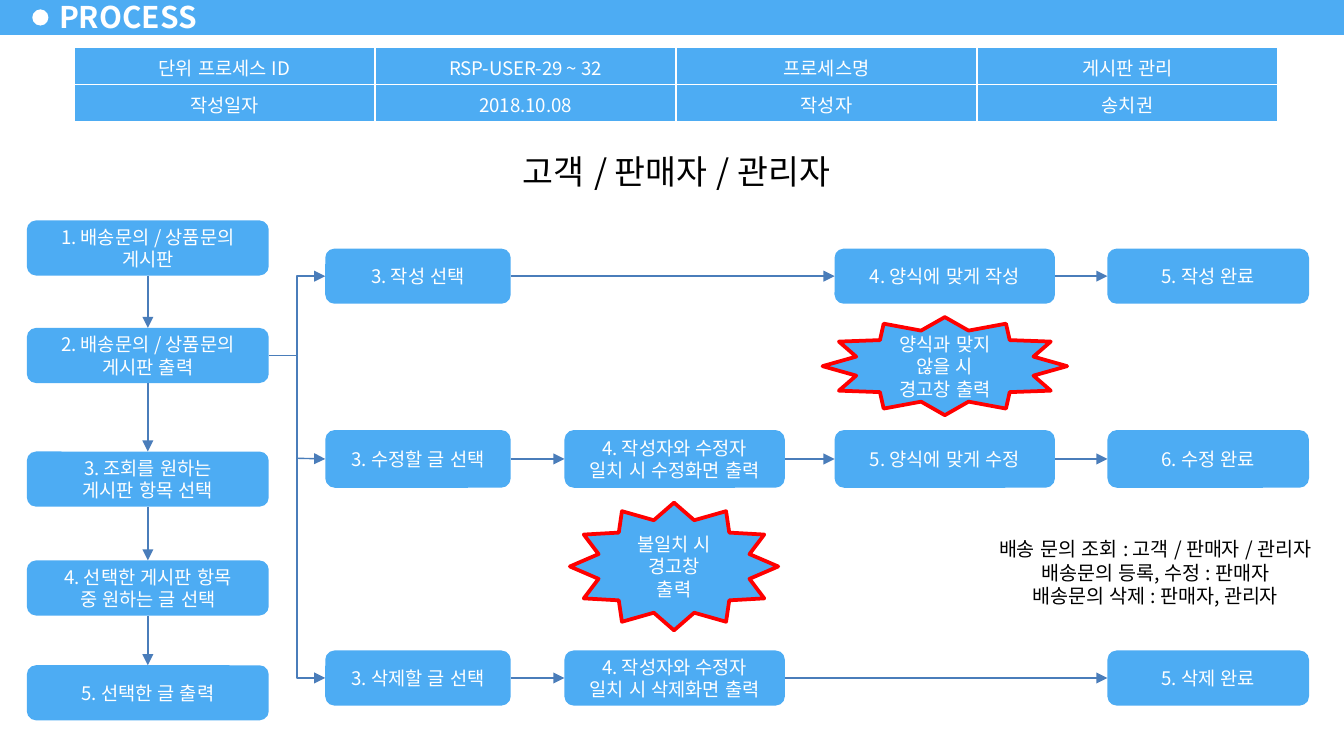
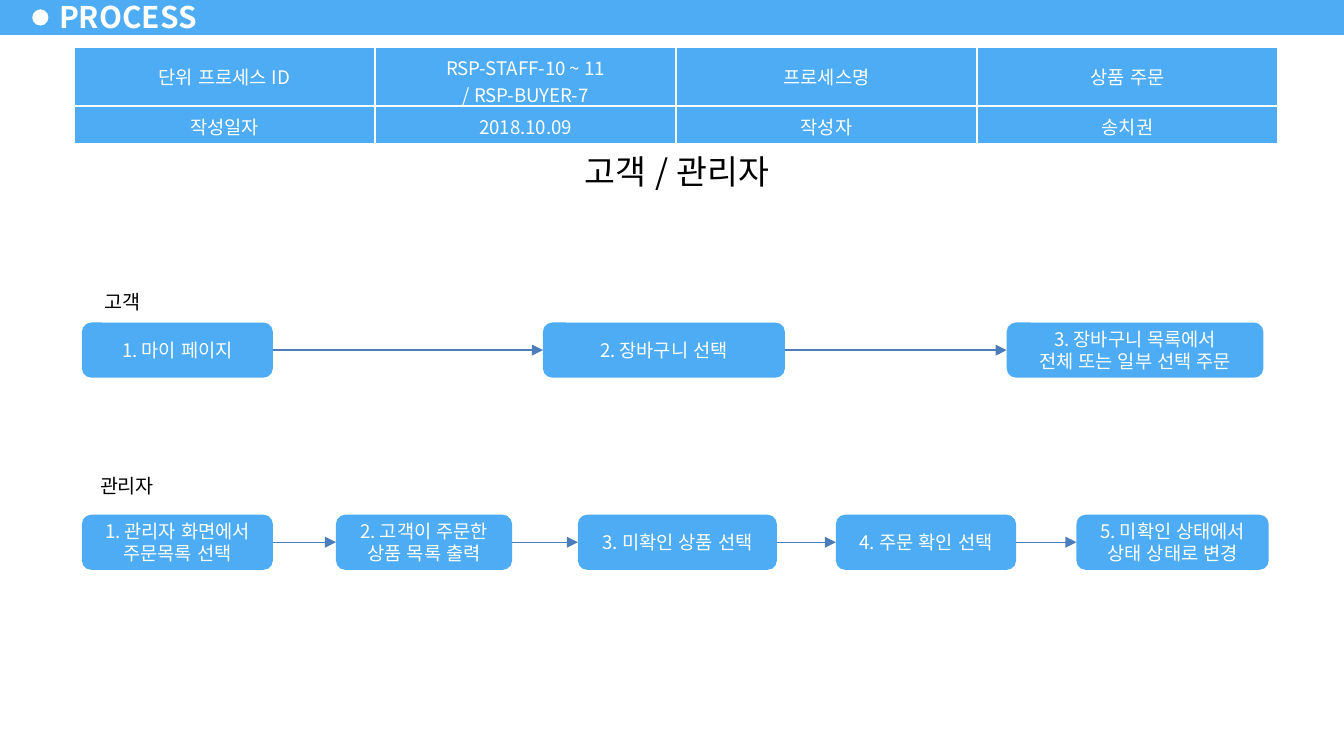
from dataclasses import dataclass
from itertools import pairwise

from lxml.etree import SubElement
from pptx import Presentation
from pptx.dml.color import RGBColor
from pptx.enum.lang import MSO_LANGUAGE_ID
from pptx.enum.shapes import MSO_CONNECTOR, MSO_SHAPE
from pptx.enum.text import MSO_ANCHOR, MSO_AUTO_SIZE, PP_ALIGN
from pptx.oxml.ns import qn
from pptx.shapes.autoshape import Shape
from pptx.shapes.connector import Connector
from pptx.slide import Slide
from pptx.text.text import TextFrame
from pptx.util import Inches, Pt

FONT = "Noto Sans CJK KR"
WIDTH = 10
COLORS = {
    "blue": "4DACF3",
    "white": "FFFFFF",
    "black": "000000",
    "red": "FF0000",
    "arrow": "4A7DBA",
}
TOP, LEFT, BOTTOM, RIGHT = range(4)


@dataclass
class Box:
    text: str
    x: float
    y: float
    w: float
    h: float = 0.41


def paint(name: str) -> RGBColor:
    return RGBColor.from_string(COLORS[name])


def write(frame: TextFrame, text: str, *, size: float = 10, color: str = "white",
          bold: bool = False, align: PP_ALIGN = PP_ALIGN.CENTER,
          anchor: MSO_ANCHOR = MSO_ANCHOR.MIDDLE) -> None:
    """Fill a frame; \\n starts a paragraph and \\v breaks a line."""
    frame.text = text
    frame.word_wrap = True
    frame.vertical_anchor = anchor
    for para in frame.paragraphs:
        para.alignment = align
        for gap in para._p.findall(qn("a:br")):
            SubElement(gap, qn("a:rPr"), sz=str(int(size * 100)))
        for run in para.runs:
            font = run.font
            font.size, font.bold, font.name = Pt(size), bold, FONT
            font.color.rgb = paint(color)
            font.language_id = MSO_LANGUAGE_ID.KOREAN
            SubElement(font._element, qn("a:ea"), typeface=FONT)


def draw(slide: Slide, kind: MSO_SHAPE, box: Box, fill: str = "blue",
         edge: str | None = None, **form) -> Shape:
    shape = slide.shapes.add_shape(
        kind, Inches(box.x), Inches(box.y), Inches(box.w), Inches(box.h))
    shape.shadow.inherit = False
    shape.fill.solid()
    shape.fill.fore_color.rgb = paint(fill)
    if edge:
        shape.line.color.rgb = paint(edge)
        shape.line.width = Pt(2)
    else:
        shape.line.fill.background()
    if box.text:
        write(shape.text_frame, box.text, **form)
    return shape


def step(slide: Slide, box: Box) -> Shape:
    return draw(slide, MSO_SHAPE.ROUNDED_RECTANGLE, box)


def alert(slide: Slide, box: Box) -> Shape:
    return draw(slide, MSO_SHAPE.STAR_12_POINT, box, edge="red")


def label(slide: Slide, box: Box, size: float = 10.5) -> Shape:
    shape = draw(slide, MSO_SHAPE.RECTANGLE, box, fill="white",
                 size=size, color="black", anchor=MSO_ANCHOR.TOP)
    shape.text_frame.auto_size = MSO_AUTO_SIZE.SHAPE_TO_FIT_TEXT
    return shape


def arrow(slide: Slide, kind: MSO_CONNECTOR, x: float = 0, y: float = 0,
          right: float = 0) -> Connector:
    line = slide.shapes.add_connector(
        kind, Inches(x), Inches(y), Inches(right), Inches(y))
    line.line.color.rgb = paint("arrow")
    line.line.width = Pt(0.75)
    SubElement(line.line._get_or_add_ln(), qn("a:tailEnd"), type="triangle")
    SubElement(line._element.spPr, qn("a:effectLst"))
    return line


def link(slide: Slide, start: Shape, end: Shape, out: int = RIGHT, into: int = LEFT,
         kind: MSO_CONNECTOR = MSO_CONNECTOR.STRAIGHT) -> None:
    line = arrow(slide, kind)
    line.begin_connect(start, out)
    line.end_connect(end, into)


def chain(slide: Slide, boxes: list[Box], out: int = RIGHT, into: int = LEFT) -> list[Shape]:
    """Draw the steps of one flow and an arrow between each pair."""
    steps = [step(slide, box) for box in boxes]
    for start, end in pairwise(steps):
        link(slide, start, end, out, into)
    return steps


def grid(slide: Slide, rows: list[list[str]], highs: list[float]) -> None:
    """Draw the table that names the process."""
    wide = 2.24
    table = slide.shapes.add_table(
        len(rows), len(rows[0]), Inches(0.55), Inches(0.35),
        Inches(wide * len(rows[0])), Inches(sum(highs))).table
    for col in table.columns:
        col.width = Inches(wide)
    for row, high, texts in zip(table.rows, highs, rows):
        row.height = Inches(high)
        for cell, text in zip(row.cells, texts):
            props = cell._tc.get_or_add_tcPr()
            for side in ("lnL", "lnR", "lnT", "lnB"):
                edge = SubElement(props, qn(f"a:{side}"), w=str(Pt(1)))
                fill = SubElement(edge, qn("a:solidFill"))
                SubElement(fill, qn("a:srgbClr"), val=COLORS["white"])
            cell.fill.solid()
            cell.fill.fore_color.rgb = paint("blue")
            write(cell.text_frame, text)
            cell.vertical_anchor = MSO_ANCHOR.MIDDLE


def begin(deck: Presentation, roles: str, code: str, name: str, date: str,
          high: float = 0.28) -> Slide:
    """Add a slide with its band, title, table and heading."""
    slide = deck.slides.add_slide(deck.slide_layouts[6])
    draw(slide, MSO_SHAPE.RECTANGLE, Box("", 0, -0.02, WIDTH, 0.28))
    draw(slide, MSO_SHAPE.OVAL, Box("", 0.24, 0.07, 0.12, 0.12), fill="white")
    title = slide.shapes.add_textbox(
        Inches(0.35), Inches(-0.04), Inches(1.22), Inches(0.32)).text_frame
    title.margin_left = title.margin_right = Inches(0.09)
    title.margin_top = title.margin_bottom = Inches(0.04)
    write(title, "PROCESS", size=16, bold=True, align=PP_ALIGN.LEFT)
    label(slide, Box(roles, 3.25, 1.07, 3.57), size=18)
    grid(slide, [["단위 프로세스 ID", code, "프로세스명", name],
                 ["작성일자", date, "작성자", "송치권"]], [high, 0.28])
    return slide


def board(deck: Presentation) -> None:
    slide = begin(deck, "고객 / 판매자 / 관리자", "RSP-USER-29 ~ 32",
                  "게시판 관리", "2018.10.08")
    views = {
        1.64: "1. 배송문의 / 상품문의 게시판",
        2.44: "2. 배송문의 / 상품문의 게시판 출력",
        3.36: "3. 조회를 원하는\n게시판 항목 선택",
        4.17: "4. 선택한 게시판 항목\n중 원하는 글 선택",
        4.95: "5. 선택한 글 출력",
    }
    posts = chain(slide, [Box(text, 0.2, y, 1.8) for y, text in views.items()],
                  BOTTOM, TOP)

    cols = [(2.42, 1.38), (4.2, 1.64), (6.21, 1.64), (8.24, 1.5)]
    flows = [
        (1.85, 0.41, ["3. 작성 선택", "", "4. 양식에 맞게 작성", "5. 작성 완료"]),
        (3.2, 0.43, ["3. 수정할 글 선택", "4. 작성자와 수정자\v일치 시 수정화면 출력",
                     "5. 양식에 맞게 수정", "6. 수정 완료"]),
        (4.84, 0.41, ["3. 삭제할 글 선택", "4. 작성자와 수정자\v일치 시 삭제화면 출력",
                      "", "5. 삭제 완료"]),
    ]
    add, edit, drop = [
        chain(slide, [Box(text, x, y, w, h) for (x, w), text in zip(cols, texts) if text])[0]
        for y, h, texts in flows]
    for first in (add, drop):
        link(slide, posts[1], first, kind=MSO_CONNECTOR.ELBOW)
    branch = arrow(slide, MSO_CONNECTOR.STRAIGHT, 2.21, 3.41, 2.42)
    branch.end_connect(edit, LEFT)

    alert(slide, Box("양식과 맞지\v않을 시\v경고창 출력", 6.12, 2.36, 1.82, 0.73))
    alert(slide, Box("불일치 시\v경고창\n출력", 4.24, 3.74, 1.55, 0.95))
    label(slide, Box("배송 문의 조회 : 고객 / 판매자 / 관리자\v"
                     "배송문의 등록, 수정 : 판매자\v"
                     "배송문의 삭제 : 판매자, 관리자", 7.19, 3.95, 2.81, 0.63))


def order(deck: Presentation) -> None:
    slide = begin(deck, "고객 / 관리자", "RSP-STAFF-10 ~ 11\n/ RSP-BUYER-7",
                  "상품 주문", "2018.10.09", high=0.44)
    label(slide, Box("고객", 0.61, 2.11, 0.6, 0.28))
    label(slide, Box("관리자", 0.61, 3.48, 0.67, 0.28))
    buyer = [
        ("1. 마이 페이지", 0.61, 1.42),
        ("2. 장바구니 선택", 4.04, 1.8),
        ("3. 장바구니 목록에서\n전체 또는 일부 선택 주문", 7.49, 1.91),
    ]
    staff = [
        ("1. 관리자 화면에서\v주문목록 선택", 0.61, 1.42),
        ("2. 고객이 주문한\n상품 목록 출력", 2.5, 1.31),
        ("3. 미확인 상품 선택", 4.3, 1.48),
        ("4. 주문 확인 선택", 6.22, 1.34),
        ("5. 미확인 상태에서\v상태 상태로 변경", 8.01, 1.43),
    ]
    for y, flow in ((2.4, buyer), (3.83, staff)):
        chain(slide, [Box(text, x, y, w) for text, x, w in flow])


def main() -> None:
    deck = Presentation()
    deck.slide_width, deck.slide_height = Inches(WIDTH), Inches(WIDTH * 9 / 16)
    board(deck)
    order(deck)
    deck.save("out.pptx")


if __name__ == "__main__":
    main()
